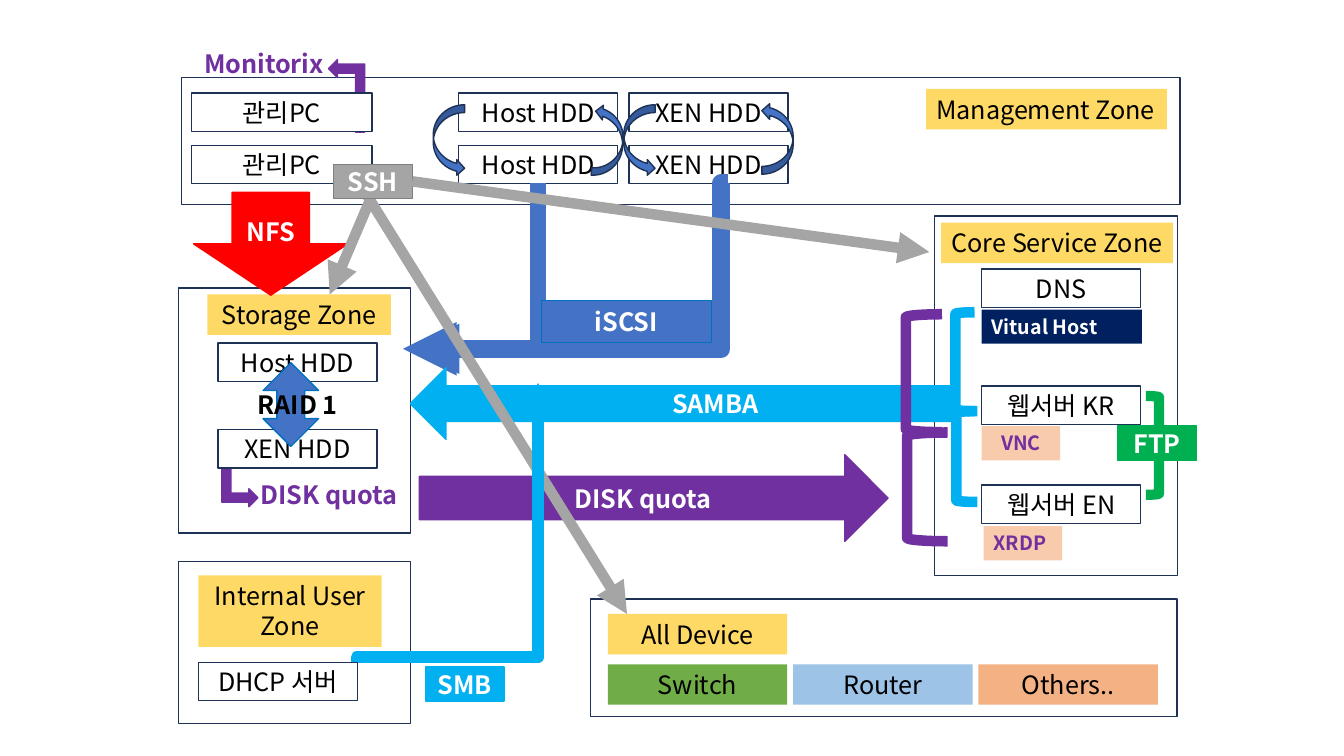
from dataclasses import dataclass

from lxml import etree
from pptx import Presentation
from pptx import util as u
from pptx.dml.color import RGBColor
from pptx.enum import shapes, text
from pptx.oxml.ns import qn

FONT = "Noto Sans CJK KR"
NAVY, BLUE, CYAN, PURPLE = "1E3256", "4472C4", "00B0F0", "7030A0"
GREEN, GRAY, YELLOW, PEACH = "00B050", "A5A5A5", "FFD966", "F8CBAD"
WHITE, BLACK = "FFFFFF", "000000"
KIND = shapes.MSO_SHAPE
LEFT, CENTER, RIGHT = text.PP_ALIGN.LEFT, text.PP_ALIGN.CENTER, text.PP_ALIGN.RIGHT


@dataclass
class Block:
    """A preset shape; lengths in centimetres, line width in points."""
    left: float
    top: float
    width: float
    height: float
    words: str = ""
    fill: str | None = WHITE
    line: str | None = NAVY
    color: str = BLACK
    bold: bool = False
    size: int = 18
    kind: shapes.MSO_SHAPE = KIND.RECTANGLE
    align: text.PP_ALIGN = CENTER
    grows: bool = False
    wraps: bool = True
    indent: float = 0
    line_width: float = 1
    rotation: float = 0
    flipped: bool = False


@dataclass
class Link:
    """An arrow; bend is the share of the first leg at which an elbow turns."""
    begin: tuple[float, float]
    end: tuple[float, float]
    color: str
    width: float = 7.5
    bend: float | None = None
    vertical_first: bool = False
    source: Block | None = None
    side: int = 3


def node(left: float, top: float, words: str, width: float = 4.01) -> Block:
    return Block(left, top, width, 0.97, words)


def label(left: float, top: float, width: float, words: str, fill: str | None = YELLOW,
          height: float = 1.02, **options) -> Block:
    """A borderless box that grows with its text."""
    return Block(left, top, width, height, words, fill, None, grows=True, **options)


def tag(left: float, top: float, words: str, fill: str, line: str) -> Block:
    return Block(left, top, 1.98, 0.86, words, fill, line, WHITE, True)


def note(left: float, top: float, words: str, color: str = PURPLE, fill: str = PEACH,
         width: float = 1.98, align: text.PP_ALIGN = LEFT) -> Block:
    return label(left, top, width, words, fill, 0.86, color=color, bold=True, size=14, align=align)


def bracket(left: float, top: float, width: float, height: float, color: str,
            kind: shapes.MSO_SHAPE = KIND.LEFT_BRACKET, line_width: float = 7.5) -> Block:
    return Block(left, top, width, height, "", None, color, kind=kind, line_width=line_width)


def block_arrow(left: float, top: float, width: float, height: float, words: str,
                color: str, kind: shapes.MSO_SHAPE, **options) -> Block:
    return Block(left, top, width, height, words, color, color, WHITE, True, kind=kind, **options)


def curl(left: float, top: float, width: float = 0.79, rotation: float = 0) -> Block:
    return Block(left, top, width, 1.8, "", BLUE, kind=KIND.CURVED_LEFT_ARROW,
                 rotation=rotation, flipped=True)


def rgb(color: str) -> RGBColor:
    return RGBColor.from_string(color)


def write(shape, block: Block) -> None:
    frame = shape.text_frame
    frame.text = block.words
    frame.word_wrap = block.wraps
    frame.vertical_anchor = text.MSO_ANCHOR.TOP if block.grows else text.MSO_ANCHOR.MIDDLE
    if block.grows:
        frame.auto_size = text.MSO_AUTO_SIZE.SHAPE_TO_FIT_TEXT
    frame.margin_left = u.Cm(0.25 + block.indent)
    paragraph = frame.paragraphs[0]
    paragraph.alignment = block.align
    font = paragraph.font
    font.size, font.bold, font.name = u.Pt(block.size), block.bold, FONT
    font.color.rgb = rgb(block.color)
    defaults = paragraph._p.pPr.find(qn("a:defRPr"))
    etree.SubElement(defaults, qn("a:ea"), typeface=FONT)


def draw_block(slide, block: Block):
    box = map(u.Cm, (block.left, block.top, block.width, block.height))
    shape = slide.shapes.add_shape(block.kind, *box)
    shape.shadow.inherit = False
    if block.fill:
        shape.fill.solid()
        shape.fill.fore_color.rgb = rgb(block.fill)
    else:
        shape.fill.background()
    if block.line:
        shape.line.color.rgb = rgb(block.line)
        shape.line.width = u.Pt(block.line_width)
    else:
        shape.line.fill.background()
    shape.rotation = block.rotation
    if block.flipped:
        shape._element.spPr.find(qn("a:xfrm")).set("flipH", "1")
    if block.words:
        write(shape, block)
    return shape


def draw_link(slide, link: Link, source=None) -> None:
    (x1, y1), (x2, y2) = link.begin, link.end
    if link.vertical_first:  # a quarter turn about the centre swaps the legs
        x, y, dx, dy = (x1 + x2) / 2, (y1 + y2) / 2, x2 - x1, y2 - y1
        x1, y1, x2, y2 = x - dy / 2, y + dx / 2, x + dy / 2, y - dx / 2
    elbow = link.bend is not None
    kind = shapes.MSO_CONNECTOR.ELBOW if elbow else shapes.MSO_CONNECTOR.STRAIGHT
    connector = slide.shapes.add_connector(kind, *map(u.Cm, (x1, y1, x2, y2)))
    if source is not None:
        connector.begin_connect(source, link.side)
    connector.line.color.rgb = rgb(link.color)
    connector.line.width = u.Pt(link.width)
    properties = connector._element.spPr
    if link.vertical_first:
        properties.find(qn("a:xfrm")).set("rot", str(90 * 60000))
    if elbow:
        guides = properties.find(qn("a:prstGeom")).get_or_add_avLst()
        etree.SubElement(guides, qn("a:gd"), name="adj1", fmla=f"val {round(link.bend * 100000)}")
    etree.SubElement(properties.find(qn("a:ln")), qn("a:tailEnd"), type="triangle")
    etree.SubElement(properties, qn("a:effectLst"))


ssh = tag(8.41, 4.14, "SSH", GRAY, "808080")
devices = [("Switch", "70AD47"), ("Router", "9DC3E6"), ("Others..", "F4B183")]
hosts = [(4.83, "관리PC", 4.55), (15.85, "XEN HDD", 4.01), (11.56, "Host HDD", 4.01)]

# Back to front
ITEMS: list[Block | Link] = [
    Block(14.88, 15.09, 14.78, 2.97),
    label(15.32, 15.47, 4.52, "All Device"),
    *(label(15.32 + 4.67 * i, 16.74, 4.52, name, fill) for i, (name, fill) in enumerate(devices)),
    Block(4.57, 1.96, 25.17, 3.2),
    Block(4.5, 7.26, 5.84, 6.17),
    Block(23.55, 5.44, 6.12, 9.07),
    Block(4.5, 14.15, 5.84, 4.09),
    Block(7.82, 1.96, 1.83, 0.91, "", PURPLE, PURPLE, kind=KIND.BENT_UP_ARROW, rotation=270),
    *(node(left, top, name, width) for left, name, width in hosts for top in (2.34, 3.66)),
    label(23.34, 2.24, 6.07, "Management Zone", align=LEFT, wraps=False),
    label(23.72, 5.61, 5.84, "Core Service Zone"),
    curl(19.2, 2.59, rotation=180),
    curl(10.92, 2.64),
    curl(14.96, 2.64, 0.74, 184),
    curl(15.72, 2.64),
    Link((13.56, 4.62), (10.31, 8.79), BLUE, 12, 1, True),
    Link((18.36, 4.62), (10.16, 8.79), BLUE, 12.75, 0.022),
    node(5.49, 8.64, "Host HDD"),
    Block(13.64, 7.57, 4.29, 1.07, "iSCSI", BLUE, "0070C0", WHITE, True),
    label(5.23, 7.42, 4.62, "Storage Zone"),
    label(5, 14.5, 4.62, "Internal User Zone", height=1.8),
    bracket(28.88, 9.98, 0.33, 2.49, GREEN, KIND.RIGHT_BRACKET, 7.25),
    bracket(24.08, 7.87, 0.48, 2.49, CYAN),
    bracket(24.1, 10.36, 0.53, 2.29, CYAN),
    block_arrow(10.34, 9.27, 13.79, 1.8, "SAMBA", CYAN, KIND.LEFT_ARROW, indent=1.14),
    Block(5.13, 11.4, 1.83, 0.91, "", PURPLE, PURPLE, kind=KIND.BENT_UP_ARROW, rotation=90),
    node(5.49, 10.82, "XEN HDD"),
    label(6.17, 11.96, 4.32, "DISK quota", None, color=PURPLE, bold=True, align=LEFT, indent=0.14),
    Block(6.63, 9.14, 1.4, 2.11, "", BLUE, "0070C0", kind=KIND.UP_DOWN_ARROW),
    label(6.25, 9.68, 2.67, "RAID 1", None, bold=True, align=LEFT, wraps=False),
    label(4.09, 1.09, 4.32, "Monitorix", None, color=PURPLE, bold=True, align=RIGHT),
    block_arrow(10.57, 11.46, 11.81, 2.18, "DISK quota", PURPLE, KIND.RIGHT_ARROW),
    node(24.74, 6.78, "DNS"),
    node(24.74, 9.73, "웹서버 KR"),
    node(24.74, 12.22, "웹서버 EN"),
    note(24.74, 10.74, "VNC", align=CENTER),
    tag(28.17, 10.74, "FTP", GREEN, GREEN),
    note(24.74, 7.8, "Vitual Host", WHITE, "002060", 4.04),
    note(24.79, 13.26, "XRDP"),
    block_arrow(4.88, 4.85, 3.89, 2.59, "NFS", "FF0000", KIND.DOWN_ARROW),
    Link((8.92, 4.39), (15.8, 15.47), GRAY),
    Link((9.45, 4.75), (8.31, 7.42), GRAY),
    ssh,
    Link((10.39, 4.57), (23.42, 6.35), GRAY, source=ssh),
    bracket(22.83, 7.92, 0.91, 2.97, PURPLE),
    bracket(22.86, 10.9, 1.02, 2.74, PURPLE),
    Link((8.99, 16.71), (13.56, 9.65), CYAN, 8.5, 0.021, True),
    node(5, 16.69, "DHCP 서버"),
    tag(10.72, 16.81, "SMB", CYAN, CYAN),
]


def main() -> None:
    presentation = Presentation()
    presentation.slide_width, presentation.slide_height = u.Cm(33.87), u.Cm(19.05)
    slide = presentation.slides.add_slide(presentation.slide_layouts[6])
    drawn = {}
    for item in ITEMS:
        if isinstance(item, Block):
            drawn[id(item)] = draw_block(slide, item)
        else:
            draw_link(slide, item, drawn.get(id(item.source)))
    presentation.save("out.pptx")


if __name__ == "__main__":
    main()
